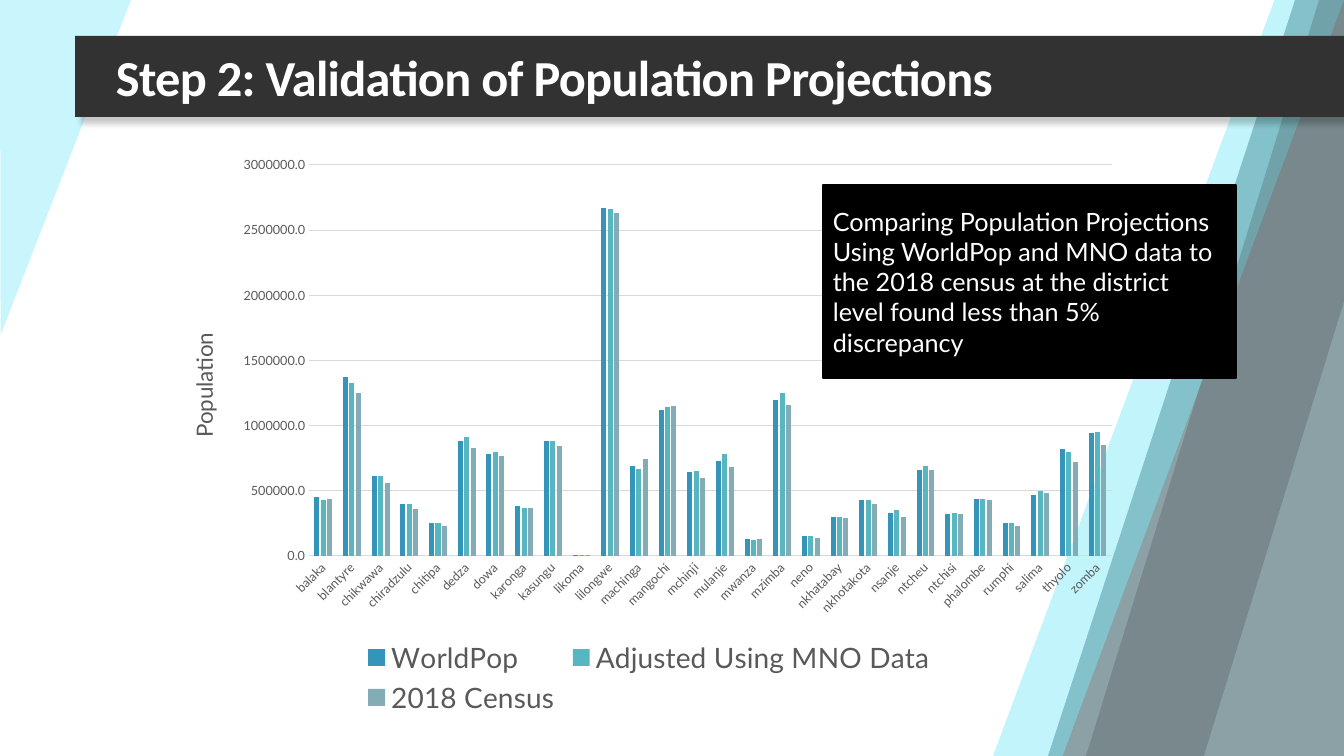
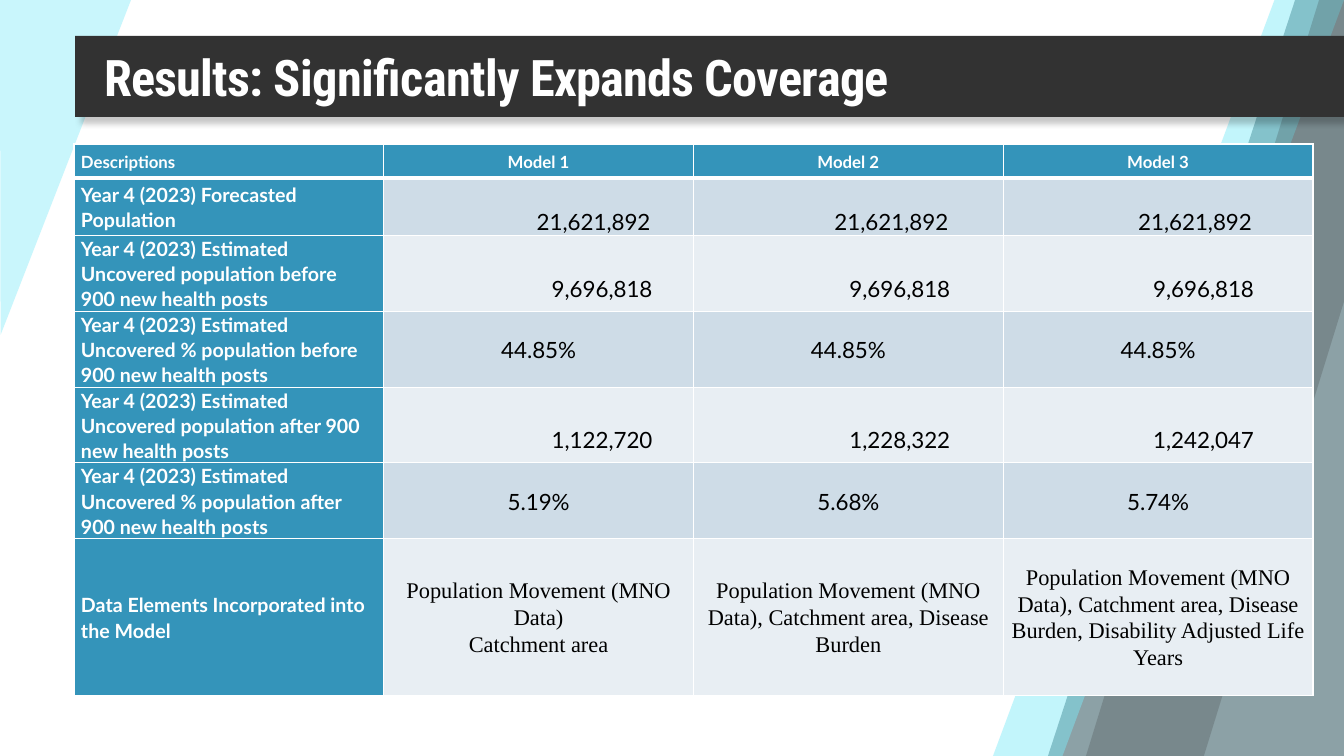
import pptx
import pptx.chart.data
import pptx.dml.color
import pptx.enum.chart
import pptx.enum.shapes
import pptx.enum.text
import pptx.oxml
import pptx.oxml.ns
import pptx.util

SCALE = 914400 / 100.8
SLIDE_BOX = (0, 0, 1344, 756)
TITLE_BOX = (75, 36, 1269, 81)
WHITE, BLACK, CHARCOAL = "FFFFFF", "000000", "323232"
BLUE, TEAL, SLATE = "3494BA", "58B6C0", "84ACB6"
BAND_DARK, BAND_LIGHT = "CEDCE7", "E8EEF3"
TEXT_GREY, GRID_GREY = "595959", "D9D9D9"
BODY_FONT = "Lato"

SHAPES = pptx.enum.shapes.MSO_SHAPE
ALIGN = pptx.enum.text.PP_ALIGN
MIDDLE = pptx.enum.text.MSO_ANCHOR.MIDDLE
qn = pptx.oxml.ns.qn

DISTRICTS = (
    "balaka blantyre chikwawa chiradzulu chitipa dedza dowa karonga kasungu likoma "
    "lilongwe machinga mangochi mchinji mulanje mwanza mzimba neno nkhatabay "
    "nkhotakota nsanje ntcheu ntchisi phalombe rumphi salima thyolo zomba"
).split()
# Name, colour, population in tens of thousands
POPULATION = [
    ("WorldPop", BLUE,
     [45, 137, 61, 40, 25, 88, 78, 38, 88, 1, 267, 69, 112, 64,
      73, 13, 120, 15, 30, 43, 33, 66, 32, 44, 25, 47, 82, 94]),
    ("Adjusted Using MNO Data", TEAL,
     [43, 133, 61, 40, 25, 91, 80, 37, 88, 1, 266, 67, 114, 65,
      78, 12, 125, 15, 30, 43, 35, 69, 33, 44, 25, 50, 80, 95]),
    ("2018 Census", SLATE,
     [44, 125, 56, 36, 23, 83, 77, 37, 84, 1, 263, 74, 115, 60,
      68, 13, 116, 14, 29, 40, 30, 66, 32, 43, 23, 48, 72, 85]),
]

MODEL_ROWS = [
    ["Descriptions", "Model 1", "Model 2", "Model 3"],
    ["Year 4 (2023) Forecasted Population", "21,621,892", "21,621,892", "21,621,892"],
    ["Year 4 (2023) Estimated Uncovered population before 900 new health posts",
     "9,696,818", "9,696,818", "9,696,818"],
    ["Year 4 (2023) Estimated Uncovered % population before 900 new health posts",
     "44.85%", "44.85%", "44.85%"],
    ["Year 4 (2023) Estimated Uncovered population after 900 new health posts",
     "1,122,720", "1,228,322", "1,242,047"],
    ["Year 4 (2023) Estimated Uncovered % population after 900 new health posts",
     "5.19%", "5.68%", "5.74%"],
    ["Data Elements Incorporated into the Model",
     "Population Movement (MNO Data)\nCatchment area",
     "Population Movement (MNO Data), Catchment area, Disease Burden",
     "Population Movement (MNO Data), Catchment area, Disease Burden, "
     "Disability Adjusted Life Years"],
]
ROW_HEIGHTS = [34, 56, 75, 76, 75, 76, 157]
COUNT_ROWS = (1, 2, 4)
COUNT_RIGHT_MARGINS = (0, 42, 54, 60)


def px(length):
    return pptx.util.Emu(round(length * SCALE))


def place(box):
    return [px(length) for length in box]


def rgb(value):
    return pptx.dml.color.RGBColor.from_string(value)


def xml(tag, content):
    """Parse one element with the drawing and chart namespaces declared."""
    namespaces = pptx.oxml.ns.nsdecls("a", "c")
    name = tag.split()[0]
    return pptx.oxml.parse_xml(f"<{tag} {namespaces}>{content}</{name}>")


def style_font(font, size, color, name=BODY_FONT, bold=False):
    font.size = pptx.util.Pt(size)
    font.name = name
    font.bold = bold
    font.color.rgb = rgb(color)


def add_run(paragraph, text, size, color, name=BODY_FONT, bold=False):
    run = paragraph.add_run()
    run.text = text
    style_font(run.font, size, color, name, bold)
    return run


def set_margins(target, left, top, right, bottom):
    target.margin_left, target.margin_top = px(left), px(top)
    target.margin_right, target.margin_bottom = px(right), px(bottom)


def add_panel(slide, kind, box, fill, opacity=100):
    shape = slide.shapes.add_shape(kind, *place(box))
    shape.shadow.inherit = False
    shape.line.fill.background()
    shape.fill.solid()
    shape.fill.fore_color.rgb = rgb(fill)
    if opacity < 100:
        color = shape.element.spPr.find(".//" + qn("a:srgbClr"))
        color.append(xml(f'a:alpha val="{opacity * 1000}"', ""))
    return shape


def add_backdrop(slide, box):
    left, top, width, height = box
    right = left + width
    slants = [
        (right - 296, 621, 0.398, "0C3943", 47),
        (right - 351, 351, 0.802, "7CEAF8", 46),
        (right - 258, 351, 0.664, CHARCOAL, 22),
    ]
    for slant_left, slant_width, adjustment, color, opacity in slants:
        slant = add_panel(slide, SHAPES.PARALLELOGRAM,
                          (slant_left, top, slant_width, height), color, opacity)
        slant.adjustments[0] = adjustment
    corner = add_panel(slide, SHAPES.ISOSCELES_TRIANGLE, (left, top, 131, 335), "7DEAF8", 41)
    corner.adjustments[0] = 0.996
    corner.rotation = 180


def add_title(slide, box, text, font_name, indent):
    band = add_panel(slide, SHAPES.RECTANGLE, box, CHARCOAL)
    band.element.spPr.find(qn("a:effectLst")).append(xml(
        'a:outerShdw blurRad="50800" dist="76200" dir="2700000" algn="tl" rotWithShape="0"',
        f'<a:srgbClr val="{BLACK}"><a:alpha val="21000"/></a:srgbClr>'))
    frame = band.text_frame
    frame.word_wrap = True
    frame.vertical_anchor = MIDDLE
    set_margins(frame, indent, 10, 10, 10)
    paragraph = frame.paragraphs[0]
    paragraph.alignment = ALIGN.LEFT
    run = add_run(paragraph, text, 36, WHITE, font_name, bold=True)
    run.font._element.set("spc", "-50")


def start_slide(presentation, title, font_name, indent):
    slide = presentation.slides.add_slide(presentation.slide_layouts[6])
    add_backdrop(slide, SLIDE_BOX)
    add_title(slide, TITLE_BOX, title, font_name, indent)
    return slide


def set_layout(element, chart_box, box, after=None, inner=False):
    """Fix a chart part at a slide box, as fractions of the chart box."""
    for layout in element.findall(qn("c:layout")):
        element.remove(layout)
    left, top, width, height = chart_box
    fractions = {"x": (box[0] - left) / width, "y": (box[1] - top) / height}
    if len(box) == 4:
        fractions.update(w=box[2] / width, h=box[3] / height)
    content = '<c:layoutTarget val="inner"/>' if inner else ""
    content += "".join(f'<c:{key}Mode val="edge"/>' for key in "xy")
    content += "".join(f'<c:{key} val="{value:.4f}"/>' for key, value in fractions.items())
    layout = xml("c:layout", f"<c:manualLayout>{content}</c:manualLayout>")
    if after:
        element.find(qn(after)).addnext(layout)
    else:
        element.insert(0, layout)


def style_axis(axis):
    axis.major_tick_mark = axis.minor_tick_mark = pptx.enum.chart.XL_TICK_MARK.NONE
    style_font(axis.tick_labels.font, 9, TEXT_GREY)


def style_line(line):
    line.color.rgb = rgb(GRID_GREY)
    line.width = pptx.util.Pt(0.75)


def add_population_chart(slide, box):
    left, top, width, height = box
    data = pptx.chart.data.CategoryChartData(number_format="0.0")
    data.categories = DISTRICTS
    for name, _, values in POPULATION:
        data.add_series(name, [value * 10000 for value in values])
    chart = slide.shapes.add_chart(
        pptx.enum.chart.XL_CHART_TYPE.COLUMN_CLUSTERED, *place(box), data).chart
    chart.has_title = False
    style_font(chart.font, 10, BLACK)

    plot = chart.plots[0]
    plot.vary_by_categories = False
    plot.gap_width, plot.overlap = 219, -27
    for series, (_, color, _) in zip(plot.series, POPULATION):
        series.format.fill.solid()
        series.format.fill.fore_color.rgb = rgb(color)

    districts, population = chart.category_axis, chart.value_axis
    style_axis(districts)
    style_line(districts.format.line)
    style_axis(population)
    population.format.line.fill.background()
    population.minimum_scale, population.maximum_scale = 0, 3000000
    population.major_unit = 500000
    population.tick_labels.number_format = "0.0"
    population.tick_labels.number_format_is_linked = False
    style_line(population.major_gridlines.format.line)
    add_run(population.axis_title.text_frame.paragraphs[0], "Population", 16, TEXT_GREY)

    chart.has_legend = True
    chart.legend.position = pptx.enum.chart.XL_LEGEND_POSITION.BOTTOM
    chart.legend.include_in_layout = False
    style_font(chart.legend.font, 20, TEXT_GREY)

    root = chart.element
    axis_title = root.find(".//" + qn("c:valAx") + "/" + qn("c:title"))
    district_text = root.find(".//" + qn("c:catAx") + "/" + qn("c:txPr"))
    for element, degrees in ((axis_title, -90), (district_text, -45)):
        body = element.find(".//" + qn("a:bodyPr"))
        body.set("rot", str(degrees * 60000))
        body.set("vert", "horz")
    set_layout(axis_title, box, (left + 18, top + 184), after="c:tx")
    set_layout(root.find(".//" + qn("c:plotArea")), box,
               (left + 143, top + 20, width - 162, height - 184), inner=True)
    set_layout(root.find(".//" + qn("c:legend")), box,
               (left + 193, top + 490, 580, 85), after="c:legendPos")


def add_callout(slide, box, text):
    callout = add_panel(slide, SHAPES.RECTANGLE, box, BLACK)
    callout.line.color.rgb = rgb(BLACK)
    callout.line.width = pptx.util.Pt(1.5)
    frame = callout.text_frame
    frame.word_wrap = True
    frame.vertical_anchor = MIDDLE
    frame.paragraphs[0].alignment = ALIGN.LEFT
    add_run(frame.paragraphs[0], text, 18, WHITE)


def set_borders(cell, bottom_width):
    properties = cell._tc.get_or_add_tcPr()
    for index, side in enumerate("LRTB"):
        width = pptx.util.Pt(bottom_width if side == "B" else 1)
        properties.insert(index, xml(
            f'a:ln{side} w="{width}"',
            f'<a:solidFill><a:srgbClr val="{WHITE}"/></a:solidFill>'))


def fill_model_cell(cell, text, row, column):
    is_header, is_label, is_count = row == 0, column == 0, row in COUNT_ROWS and column > 0
    is_heading = is_header or is_label
    cell.fill.solid()
    cell.fill.fore_color.rgb = rgb(BLUE if is_heading else BAND_DARK if row % 2 else BAND_LIGHT)
    set_borders(cell, 3 if is_header else 1)
    cell.vertical_anchor = MIDDLE
    if is_count:
        shift = 1 if row == 1 else -1
        set_margins(cell, 7, 29, COUNT_RIGHT_MARGINS[column] + shift, 0)
    else:
        set_margins(cell, 7, 0, 9 if is_label else 7, 0)
    size = 12 if is_header else 14 if is_label else 16
    is_serif = row == len(MODEL_ROWS) - 1 and not is_label
    for index, line in enumerate(text.split("\n")):
        frame = cell.text_frame
        paragraph = frame.add_paragraph() if index else frame.paragraphs[0]
        paragraph.alignment = ALIGN.LEFT if is_label else ALIGN.RIGHT if is_count else ALIGN.CENTER
        paragraph.line_spacing = 1.07
        add_run(paragraph, line, size, WHITE if is_heading else BLACK,
                "Times New Roman" if is_serif else BODY_FONT, is_heading)


def add_model_table(slide, box):
    column_count = len(MODEL_ROWS[0])
    table = slide.shapes.add_table(len(MODEL_ROWS), column_count, *place(box)).table
    table.horz_banding = False
    for column in table.columns:
        column.width = px(box[2] / column_count)
    for row, texts in enumerate(MODEL_ROWS):
        table.rows[row].height = px(ROW_HEIGHTS[row])
        for column, text in enumerate(texts):
            fill_model_cell(table.cell(row, column), text, row, column)


def main():
    presentation = pptx.Presentation()
    presentation.slide_width, presentation.slide_height = place(SLIDE_BOX[2:])

    validation = start_slide(
        presentation, "Step 2: Validation of Population Projections", "Calibri", 41)
    add_population_chart(validation, (166, 145, 965, 575))
    add_callout(validation, (823, 185, 413, 193),
                "Comparing Population Projections Using WorldPop and MNO data to the 2018 "
                "census at the district level found less than 5% discrepancy")

    results = start_slide(
        presentation, "Results: Significantly Expands Coverage", "Roboto Condensed", 29)
    add_model_table(results, (74, 144, 1239, sum(ROW_HEIGHTS)))
    presentation.save("out.pptx")


if __name__ == "__main__":
    main()
